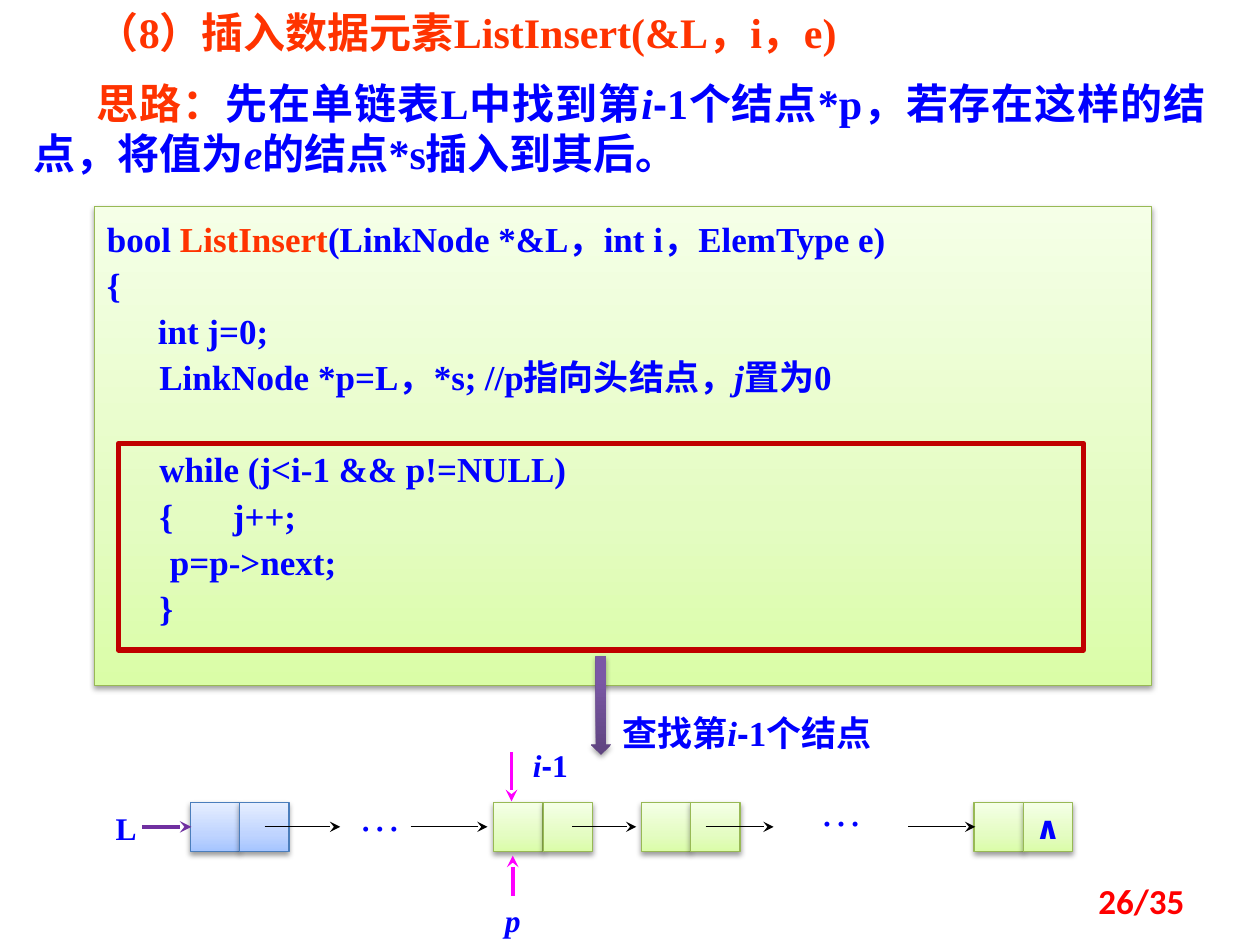
from copy import deepcopy
from lxml.etree import SubElement
from pptx import Presentation
from pptx.dml.color import RGBColor as RGB
from pptx.enum.shapes import MSO_CONNECTOR as CONN, MSO_SHAPE as SHAPE
from pptx.enum.text import MSO_ANCHOR as ANCHOR, MSO_AUTO_SIZE as AUTO, PP_ALIGN as ALIGN
from pptx.oxml.ns import qn
from pptx.util import Pt

THEME = {
    "serif": "Times New Roman", "sans": "Arial", "symbol": "DejaVu Sans", "number": "Calibri",
    "head": 24, "code": 20, "label": 18,
    "blue": "0000FF", "orange": "FF3300", "red": "FF0000", "frame": "C00000",
    "purple": "7030A0", "pink": "FF00FF", "black": "000000",
    "green_fill": [(0, "DAFDA7"), (0.35, "E4FCC2"), (1, "F5FFE7")], "green_line": "98B955",
    "blue_fill": [(0, "A4C4FF"), (0.35, "BFD4FF"), (1, "E6EEFF")], "blue_line": "4B7EBC",
    "arrow_fill": [(0, "5F4480"), (0.8, "7B58A6"), (1, "7C57A8")],
}
ITALIC = {"italic": True}
SANS = {"name": THEME["sans"]}
ORANGE = {"color": "orange"}

TITLE = [[("（8）插入数据元素ListInsert(&L，i，e)", ORANGE)]]
IDEA = [[("思路：", ORANGE), ("先在单链表L中找到第", {}), ("i", ITALIC), ("-", SANS),
         ("1个结点*p，若存在这样的结点，将值为", {}), ("e", ITALIC), ("的结点*s插入到其后。", {})]]
DECLARATIONS = [
    [("bool ", {}), ("ListInsert", ORANGE), ("(LinkNode *&L，int i，ElemType e)", {})],
    [("{", {})],
    [(" 　 int j=0;", {})],
    [("      LinkNode *p=L，*s;\t//p指向头结点，", {}), ("j", ITALIC), ("置为0", {})],
]
LOOP = [[(line, {})] for line in (
    "      while (j<i-1 && p!=NULL)", "      {\tj++;", "\tp=p->next;", "      }")]
DOTS = [[("…", {"bold": False})]]
LABELS = [
    ((348.5, 403.2, 202.3, 31.7), [[("查找第", {}), ("i", ITALIC), ("-", SANS), ("1个结点", {})]], "code"),
    ((59, 458.6, 24, 28.8), [[("L", {})]], "label"),
    ((297.4, 422.6, 46, 28.8), [[("i", ITALIC), ("-", SANS), ("1", {})]], "label"),
    ((281.5, 511.2, 28, 28.8), [[("p", ITALIC)]], "label"),
    ((198, 447.8, 56.9, 36), DOTS, "head"),
    ((461.5, 445, 56.9, 36), DOTS, "head"),
]
CELL, NODE_Y = 28.2, 458.6
NODES = [(108.7, "blue", ""), (282.2, "green", ""), (366.5, "green", ""), (556.6, "green", "∧")]
LINK_Y = 472.5
LINKS = [(151.2, 194.4), (234.7, 278.6), (326.9, 363.6), (403.2, 442.1), (519.1, 557.3)]
POINTERS = [
    (81.4, LINK_Y, 109.4, LINK_Y, "purple"),
    (292.3, 429.8, 292.3, 457.9, "pink"),
    (293, 511.9, 293, 488.9, "pink"),
]


def assign(obj, values):
    for key, value in values.items():
        setattr(obj, key, value)


def write(sp, paragraphs, size, frame={}, para={}):
    tf = sp.text_frame
    assign(tf, {"word_wrap": True, "auto_size": AUTO.NONE,
                "vertical_anchor": ANCHOR.TOP, **frame})
    for n, runs in enumerate(paragraphs):
        p = tf.paragraphs[0] if n == 0 else tf.add_paragraph()
        assign(p, {"alignment": ALIGN.LEFT, **para})
        for text, style in runs:
            r = p.add_run()
            r.text = text
            values = {"name": THEME["serif"], "size": Pt(THEME[size]), "bold": True, **style}
            colour = values.pop("color", "blue")
            assign(r.font, values)
            r.font.color.rgb = RGB.from_string(THEME[colour])
    return tf


def place(sp, box):
    assign(sp, dict(zip(("left", "top", "width", "height"), map(Pt, box))))


def text_box(s, box, paragraphs, size, frame={}, para={}):
    return write(s.shapes.add_textbox(*map(Pt, box)), paragraphs, size, frame, para)


def block(s, kind, box, fill=None, line=None, width=0.75):
    sp = s.shapes.add_shape(kind, *map(Pt, box))
    sp.shadow.inherit = False
    if line:
        sp.line.color.rgb = RGB.from_string(THEME[line])
        sp.line.width = Pt(width)
    else:
        sp.line.fill.background()
    if not fill:
        sp.fill.background()
        return sp
    sp.fill.gradient()
    sp.fill.gradient_angle = 90
    stops = sp._element.spPr.find(".//" + qn("a:gsLst"))
    stops.append(deepcopy(stops[-1]))
    for stop, (position, colour) in zip(sp.fill.gradient_stops, THEME[fill]):
        stop.position = position
        stop.color.rgb = RGB.from_string(colour)
    effects = sp._element.spPr.find(qn("a:effectLst"))
    shadow = SubElement(effects, qn("a:outerShdw"), blurRad=str(Pt(3.1)), dist=str(Pt(1.6)),
                        dir="5400000", rotWithShape="0")
    tint = SubElement(shadow, qn("a:srgbClr"), val=THEME["black"])
    SubElement(tint, qn("a:alpha"), val="38000")
    return sp


def arrow(s, x1, y1, x2, y2, colour, width):
    c = s.shapes.add_connector(CONN.STRAIGHT, *map(Pt, (x1, y1, x2, y2)))
    c.line.color.rgb = RGB.from_string(THEME[colour])
    c.line.width = Pt(width)
    SubElement(c.line._get_or_add_ln(), qn("a:tailEnd"), type="stealth")
    SubElement(c._element.spPr, qn("a:effectLst"))


def main():
    prs = Presentation()
    assign(prs, {"slide_width": Pt(720), "slide_height": Pt(540)})
    s = prs.slides.add_slide(prs.slide_layouts[1])
    title, body = s.shapes.title, s.placeholders[1]
    heads = [(title, (12.2, 0, 684, 38), TITLE), (body, (12.2, 40.5, 684, 68.2), IDEA)]
    for sp, box, paragraphs in heads:
        place(sp, box)
        pPr = sp.text_frame.paragraphs[0]._p.get_or_add_pPr()
        assign(pPr, {"marL": 0, "indent": 0})
        pPr.set("marL", "0")
        pPr.set("indent", str(Pt(36)))
        SubElement(pPr, qn("a:buNone"))
        write(sp, paragraphs, "head", para={"alignment": ALIGN.JUSTIFY, "space_before": Pt(0)})

    panel = block(s, SHAPE.RECTANGLE, (54, 118.1, 604.1, 273.6), "green_fill", "green_line")
    tf = write(panel, DECLARATIONS + LOOP, "code", para={"line_spacing": 1.1})
    tf.paragraphs[len(DECLARATIONS)].space_before = Pt(26.4)

    for x, tone, mark in NODES:
        for n in range(2):
            box = (x + n * CELL, NODE_Y, CELL, CELL)
            sp = block(s, SHAPE.RECTANGLE, box, tone + "_fill", tone + "_line")
        if mark:
            write(sp, [[(mark, {"name": THEME["symbol"]})]], "label",
                  {"word_wrap": False, "vertical_anchor": ANCHOR.MIDDLE},
                  {"alignment": ALIGN.CENTER})
    for x1, x2 in LINKS:
        arrow(s, x1, LINK_Y, x2, LINK_Y, "black", 0.75)
    for pointer in POINTERS:
        arrow(s, *pointer, 2.25)
    for label in LABELS:
        text_box(s, *label)

    block(s, SHAPE.RECTANGLE, (67.7, 253.4, 551.5, 118.1), line="frame", width=3)
    block(s, SHAPE.DOWN_ARROW, (337.7, 375.1, 11.5, 56.2), "arrow_fill")
    number = [[("26/35", {"name": THEME["number"], "color": "red"})]]
    text_box(s, (516.2, 500.4, 167.8, 28.8), number, "code",
             {"vertical_anchor": ANCHOR.MIDDLE}, {"alignment": ALIGN.RIGHT})
    prs.save("out.pptx")


if __name__ == "__main__":
    main()
